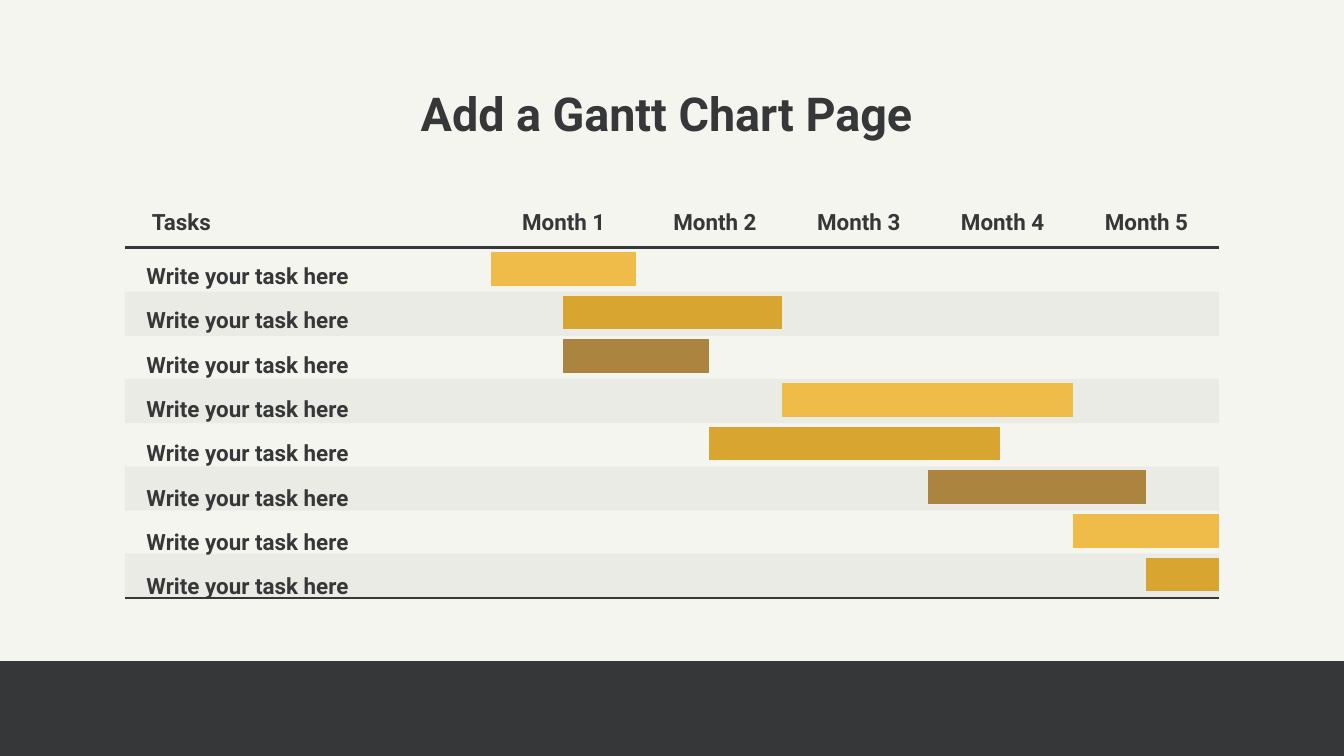
from lxml import etree
from pptx import Presentation
from pptx.dml.color import RGBColor
from pptx.enum import shapes, text
from pptx.oxml import ns
from pptx.util import Inches, Pt

SLIDE_WIDTH = 10
SLIDE_HEIGHT = SLIDE_WIDTH * 9 / 16

DARK = "363739"
BACKGROUND = "F5F5EF"
BAR_COLOURS = ["EFBC49", "D8A530", "AB8540"]

FOOTER_TOP = 4.92
TABLE_LEFT, TABLE_RIGHT = 0.93, 9.07
HEADER_RULE, BOTTOM_RULE = 1.84, 4.45
HEADER_TOP = 1.47
BAND_PITCH = 0.65
ROW_PITCH = BAND_PITCH / 2
TIMELINE_LEFT = 3.65
HALF_MONTH = (TABLE_RIGHT - TIMELINE_LEFT) / 10

# Start and end of each task, in half months
TASKS = [(0, 2), (1, 4), (1, 3), (4, 8), (3, 7), (6, 9), (8, 10), (9, 10)]


def rgb(colour):
    return RGBColor.from_string(colour)


def add_band(slide, left, top, width, height, opacity=None):
    """Add a dark rectangle without outline; opacity is a percentage."""
    band = slide.shapes.add_shape(
        shapes.MSO_SHAPE.RECTANGLE,
        Inches(left), Inches(top), Inches(width), Inches(height))
    band.shadow.inherit = False
    band.fill.solid()
    band.fill.fore_color.rgb = rgb(DARK)
    band.line.fill.background()
    if opacity is not None:
        colour = band._element.spPr.find(".//" + ns.qn("a:srgbClr"))
        etree.SubElement(colour, ns.qn("a:alpha"), val=str(opacity * 1000))


def add_line(slide, start, end, y, colour, weight):
    line = slide.shapes.add_connector(
        shapes.MSO_CONNECTOR.STRAIGHT,
        Inches(start), Inches(y), Inches(end), Inches(y))
    line.line.color.rgb = rgb(colour)
    line.line.width = Pt(weight)
    etree.SubElement(line._element.spPr, ns.qn("a:effectLst"))


def add_label(slide, wording, left, top, width, height=0.2, size=12,
              spacing=1.4, align=text.PP_ALIGN.CENTER):
    box = slide.shapes.add_textbox(
        Inches(left), Inches(top), Inches(width), Inches(height))
    frame_format = {
        "margin_left": 0, "margin_top": 0, "margin_right": 0,
        "margin_bottom": 0, "word_wrap": True,
        "auto_size": text.MSO_AUTO_SIZE.SHAPE_TO_FIT_TEXT,
    }
    for name, value in frame_format.items():
        setattr(box.text_frame, name, value)
    paragraph = box.text_frame.paragraphs[0]
    paragraph.alignment = align
    paragraph.line_spacing = spacing
    run = paragraph.add_run()
    run.text = wording
    for name, value in {"name": "Roboto", "size": Pt(size), "bold": True}.items():
        setattr(run.font, name, value)
    run.font.color.rgb = rgb(DARK)


def add_grid(slide):
    for band in range(4):
        add_band(slide, TABLE_LEFT, 2.17 + band * BAND_PITCH,
                 TABLE_RIGHT - TABLE_LEFT, 0.33, opacity=5)
    for y in (HEADER_RULE, BOTTOM_RULE):
        add_line(slide, TABLE_LEFT, TABLE_RIGHT, y, DARK, 1.5)


def add_headings(slide):
    add_label(slide, "Month 1", 3.78, HEADER_TOP, 0.83)
    for month in range(2, 6):
        add_label(slide, f"Month {month}", 4.96 + (month - 2) * 1.07,
                  HEADER_TOP, 0.72)
    add_label(slide, "Tasks", 1.13, HEADER_TOP, 2.39,
              align=text.PP_ALIGN.JUSTIFY)


def add_tasks(slide):
    for row, (start, end) in enumerate(TASKS):
        add_label(slide, "Write your task here", 1.09, 1.87 + row * 0.33, 2.43,
                  align=text.PP_ALIGN.JUSTIFY)
        add_line(slide, TIMELINE_LEFT + start * HALF_MONTH,
                 TIMELINE_LEFT + end * HALF_MONTH, 2 + row * ROW_PITCH,
                 BAR_COLOURS[row % len(BAR_COLOURS)], 18)


def main():
    deck = Presentation()
    deck.slide_width = Inches(SLIDE_WIDTH)
    deck.slide_height = Inches(SLIDE_HEIGHT)
    slide = deck.slides.add_slide(deck.slide_layouts[6])
    slide.background.fill.solid()
    slide.background.fill.fore_color.rgb = rgb(BACKGROUND)

    add_band(slide, 0, FOOTER_TOP, SLIDE_WIDTH, SLIDE_HEIGHT - FOOTER_TOP)
    add_grid(slide)
    add_headings(slide)
    add_tasks(slide)
    add_label(slide, "Add a Gantt Chart Page", 0.93, 0.55, 8.06, 0.42,
              size=25, spacing=1.2)
    deck.save("out.pptx")


if __name__ == "__main__":
    main()
